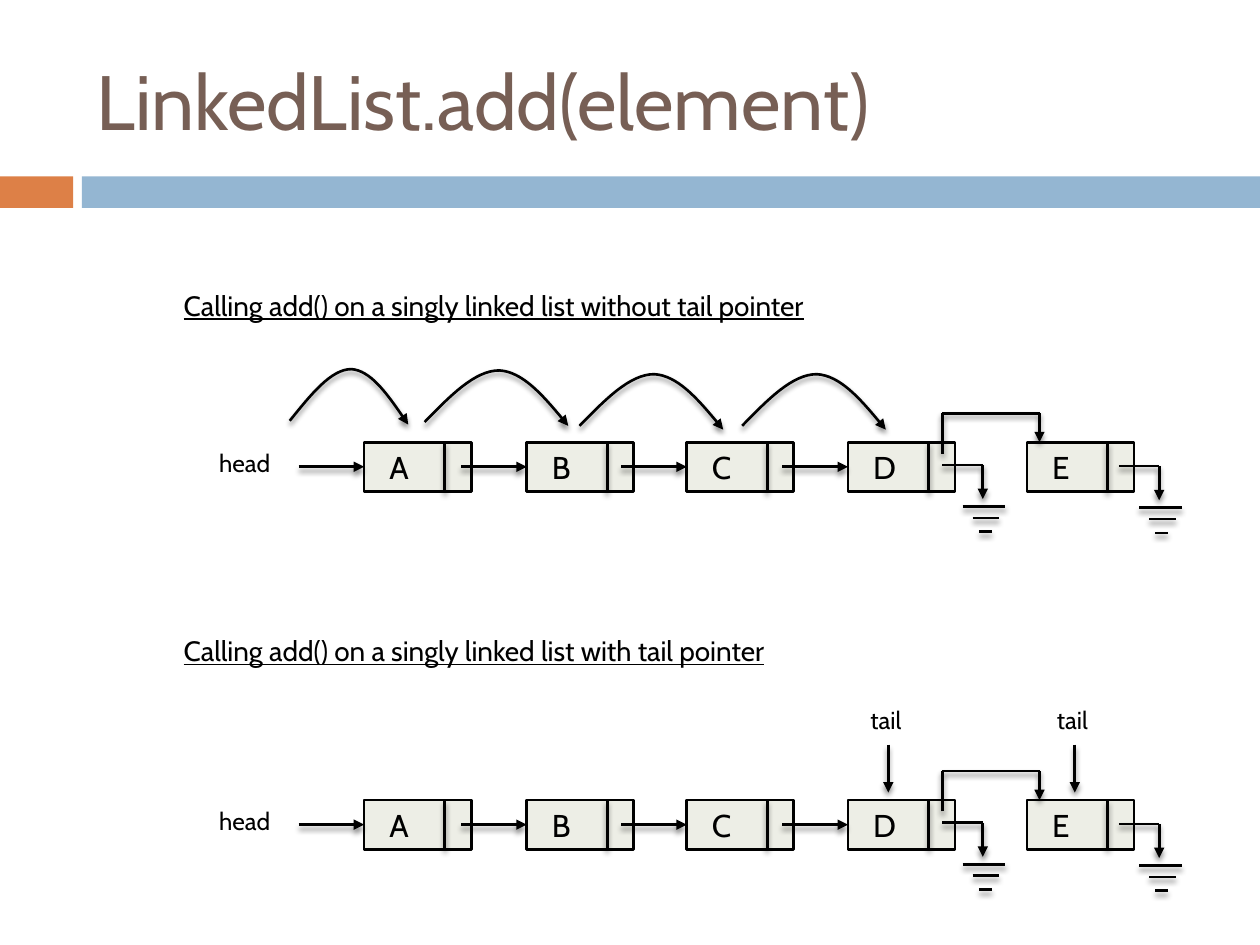
from dataclasses import dataclass

from lxml import etree
from pptx import Presentation
from pptx.dml.color import RGBColor
from pptx.enum.shapes import MSO_CONNECTOR, MSO_SHAPE
from pptx.enum.text import MSO_ANCHOR, MSO_AUTO_SIZE, PP_ALIGN
from pptx.oxml import parse_xml
from pptx.oxml.ns import nsdecls, qn
from pptx.util import Inches, Pt

RECTANGLE = MSO_SHAPE.RECTANGLE
STRAIGHT = MSO_CONNECTOR.STRAIGHT
MIDDLE = MSO_ANCHOR.MIDDLE
LEFT = PP_ALIGN.LEFT
FIT_TEXT = MSO_AUTO_SIZE.SHAPE_TO_FIT_TEXT
LEFT_SIDE = 1


@dataclass(frozen=True)
class Theme:
    font: str = "Cabin"
    ink: RGBColor = RGBColor(0x00, 0x00, 0x00)
    title: RGBColor = RGBColor(0x77, 0x5F, 0x55)
    orange: RGBColor = RGBColor(0xDD, 0x80, 0x47)
    blue: RGBColor = RGBColor(0x94, 0xB6, 0xD2)
    node: RGBColor = RGBColor(0xED, 0xEE, 0xE6)
    title_size: int = 44
    node_size: int = 18
    heading_size: int = 16
    label_size: int = 14
    line_width: float = 1.5


@dataclass(frozen=True)
class Node:
    name: str
    left: float


@dataclass(frozen=True)
class Hop:
    left: float
    top: float
    width: float


THEME = Theme()
NODES = [Node("A", 2.89), Node("B", 4.18), Node("C", 5.45), Node("D", 6.73), Node("E", 8.15)]
LINKED_NODES = NODES[:4]
NODE_WIDTH, NODE_HEIGHT, DIVIDER_OFFSET = 0.85, 0.39, 0.64
LINK_LENGTH = 0.52
HOPS = [Hop(2.3, 2.93, 0.94), Hop(3.37, 2.94, 1.14), Hop(4.6, 2.97, 1.14), Hop(5.89, 2.97, 1.14)]
# Two cubic curves: x as a share of the width, y in inches below the top.
HOP_START = (0, 0.41)
HOP_CURVES = [(0.18, 0.2), (0.35, 0), (0.52, 0), (0.68, 0.01), (0.85, 0.23), (1, 0.44)]
# Left, right and depth of each bar of the ground symbol.
GROUND_BARS = [(0.16, 0.5, 0.33), (0.24, 0.45, 0.42), (0.29, 0.39, 0.53)]


def style_stroke(shape, arrow: bool) -> None:
    """Give a line its colour, width, optional arrowhead and soft shadow."""
    shape.line.color.rgb = THEME.ink
    shape.line.width = Pt(THEME.line_width)
    properties = shape.element.spPr
    if arrow:
        etree.SubElement(properties.get_or_add_ln(), qn("a:tailEnd"), type="triangle")
    properties.append(parse_xml(
        f'<a:effectLst {nsdecls("a")}>'
        '<a:outerShdw blurRad="38100" dist="30000" dir="5400000" rotWithShape="0">'
        '<a:srgbClr val="000000"><a:alpha val="45000"/></a:srgbClr>'
        '</a:outerShdw></a:effectLst>'))


def add_line(slide, start: tuple, end: tuple, arrow: bool = False, target=None) -> None:
    connector = slide.shapes.add_connector(
        STRAIGHT, *(Inches(value) for value in (*start, *end)))
    if target is not None:
        connector.end_connect(target, LEFT_SIDE)
    style_stroke(connector, arrow)


def add_rectangle(slide, left: float, top: float, width: float, height: float,
                  color: RGBColor):
    shape = slide.shapes.add_shape(
        RECTANGLE, Inches(left), Inches(top), Inches(width), Inches(height))
    shape.shadow.inherit = False
    shape.fill.solid()
    shape.fill.fore_color.rgb = color
    shape.line.fill.background()
    return shape


def write_text(shape, text: str, size: int, color: RGBColor = THEME.ink,
               underline: bool = False) -> None:
    shape.text_frame.text = text
    paragraph = shape.text_frame.paragraphs[0]
    paragraph.alignment = LEFT
    font = paragraph.runs[0].font
    font.name = THEME.font
    font.size = Pt(size)
    font.color.rgb = color
    if underline:
        font.underline = True


def add_label(slide, text: str, left: float, top: float, width: float, height: float,
              size: int, underline: bool = False) -> None:
    box = slide.shapes.add_textbox(Inches(left), Inches(top), Inches(width), Inches(height))
    write_text(box, text, size, underline=underline)
    box.text_frame.word_wrap = False
    box.text_frame.auto_size = FIT_TEXT


def add_header(slide) -> None:
    add_rectangle(slide, 0, 1.4, 0.58, 0.25, THEME.orange)
    add_rectangle(slide, 0.65, 1.4, 9.35, 0.25, THEME.blue)
    title = slide.shapes.add_textbox(Inches(0.67), Inches(0.25), Inches(8.92), Inches(1.08))
    write_text(title, "LinkedList.add(element)", THEME.title_size, THEME.title)
    title.text_frame.word_wrap = True
    title.text_frame.vertical_anchor = MIDDLE


def add_node(slide, node: Node, top: float):
    box = add_rectangle(slide, node.left, top, NODE_WIDTH, NODE_HEIGHT, THEME.node)
    box.line.color.rgb = THEME.ink
    box.line.width = Pt(THEME.line_width)
    write_text(box, node.name, THEME.node_size)
    box.text_frame.margin_left = Inches(0.2)
    box.text_frame.vertical_anchor = MIDDLE
    divider = node.left + DIVIDER_OFFSET
    add_line(slide, (divider, top), (divider, top + NODE_HEIGHT))
    return box


def add_ground(slide, left: float, top: float) -> None:
    """Draw a null pointer as an arrow down to a ground symbol."""
    stem = left + 0.32
    add_line(slide, (left, top), (stem, top))
    add_line(slide, (stem, top), (stem, top + 0.27), arrow=True)
    for bar_left, bar_right, depth in GROUND_BARS:
        add_line(slide, (left + bar_left, top + depth), (left + bar_right, top + depth))


def add_bridge(slide, top: float) -> None:
    """Draw the new pointer that rises from D and drops into E."""
    left, right, bridge_top = 7.48, 8.25, top - 0.23
    add_line(slide, (left, top + 0.09), (left, bridge_top))
    add_line(slide, (left, bridge_top), (right, bridge_top))
    add_line(slide, (right, bridge_top), (right, top), arrow=True)


def add_hop(slide, hop: Hop) -> None:
    start, *points = [(Inches(hop.left + x * hop.width), Inches(hop.top + y))
                      for x, y in [HOP_START, *HOP_CURVES]]
    builder = slide.shapes.build_freeform(*start)
    builder.add_line_segments(points, close=False)
    shape = builder.convert_to_shape()
    outline = shape.element.spPr.find(".//" + qn("a:path"))
    segments = outline.findall(qn("a:lnTo"))
    for first in range(0, len(segments), 3):
        curve = etree.SubElement(outline, qn("a:cubicBezTo"))
        for segment in segments[first:first + 3]:
            curve.append(segment[0])
            outline.remove(segment)
    shape.fill.background()
    style_stroke(shape, arrow=True)


def add_list(slide, top: float) -> None:
    middle = top + NODE_HEIGHT / 2
    boxes = [add_node(slide, node, top) for node in NODES]
    for node, box in zip(LINKED_NODES, boxes):
        add_line(slide, (node.left - LINK_LENGTH, middle), (node.left, middle),
                 arrow=True, target=box)
    add_label(slide, "head", 1.64, top, 0.62, 0.34, THEME.label_size)
    add_ground(slide, 7.48, top + 0.18)
    add_ground(slide, 8.88, top + 0.19)
    add_bridge(slide, top)


def add_tail(slide, center: float, top: float) -> None:
    add_label(slide, "tail", center - 0.24, top - 0.8, 0.46, 0.34, THEME.label_size)
    add_line(slide, (center, top - 0.44), (center, top - 0.06), arrow=True)


def main() -> None:
    presentation = Presentation()
    presentation.slide_width, presentation.slide_height = Inches(10), Inches(7.5)
    slide = presentation.slides.add_slide(presentation.slide_layouts[6])
    add_header(slide)

    heading = "Calling add() on a singly linked list {} tail pointer"
    add_label(slide, heading.format("without"), 1.36, 2.24, 5.31, 0.37,
              THEME.heading_size, underline=True)
    add_list(slide, 3.51)
    for hop in HOPS:
        add_hop(slide, hop)

    add_label(slide, heading.format("with"), 1.36, 4.98, 5.01, 0.37,
              THEME.heading_size, underline=True)
    add_list(slide, 6.35)
    for center in (7.05, 8.53):
        add_tail(slide, center, 6.35)
    presentation.save("out.pptx")


if __name__ == "__main__":
    main()
